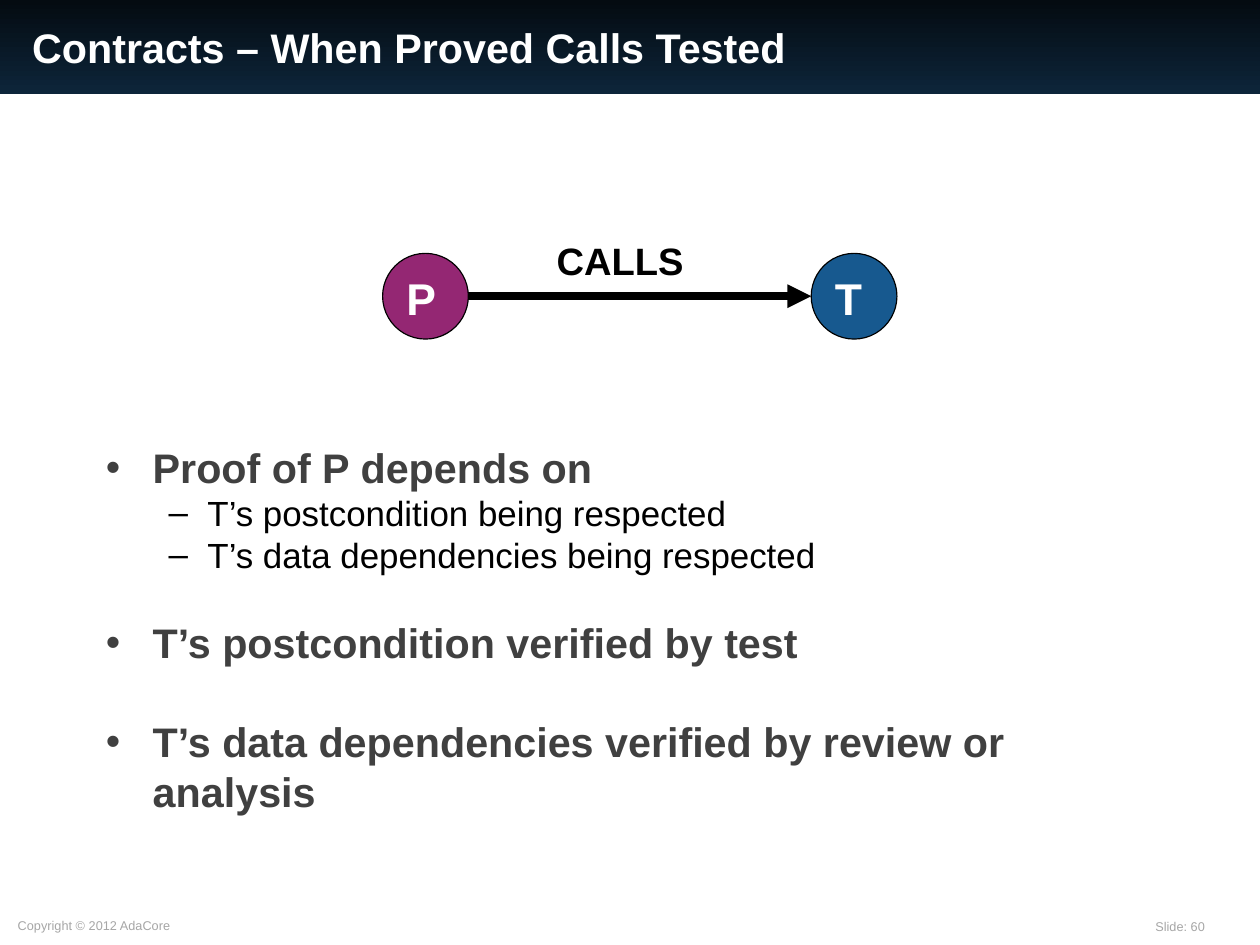
from pptx import Presentation
from pptx.dml.color import RGBColor
from pptx.enum.shapes import MSO_CONNECTOR, MSO_SHAPE
from pptx.enum.text import MSO_ANCHOR, PP_ALIGN
from pptx.oxml.ns import qn
from pptx.util import Pt
from lxml.etree import SubElement

COLORS = {
    "white": "FFFFFF", "black": "000000", "text": "404040", "footer": "A6A6A6",
    "proved": "942773", "tested": "17598F",
    "banner_top": "040B11", "banner_bottom": "0D253A",
}
FONT = "Arial"
NODE_SIZE = 54
NODE_TOP = 159.6
PROVED_LEFT = 241
TESTED_LEFT = 511
LEVELS = [
    {"bullet": "•", "margin": 29.5, "hanging": 29.5, "size": 26, "color": "text", "bold": True},
    {"bullet": "–", "margin": 64, "hanging": 24.5, "size": 22, "color": "black", "bold": False},
]
POINTS = [
    (0, "Proof of P depends on", 0),
    (1, "T’s postcondition being respected", 0),
    (1, "T’s data dependencies being respected", 0),
    (0, "T’s postcondition verified by test", 26.5),
    (0, "T’s data dependencies verified by review or analysis", 31),
]


def rgb(name):
    return RGBColor.from_string(COLORS[name])


def place(s, left, top, width, height):
    s.left, s.top, s.width, s.height = Pt(left), Pt(top), Pt(width), Pt(height)


def add_run(p, text, size, color, bold=False):
    r = p.add_run()
    r.text = text
    r.font.name = FONT
    r.font.size = Pt(size)
    r.font.bold = bold
    r.font.color.rgb = rgb(color)


def add_banner(s):
    banner = s.shapes.add_shape(MSO_SHAPE.RECTANGLE, Pt(-0.5), 0, Pt(794.2), Pt(59.5))
    banner.shadow.inherit = False
    banner.line.fill.background()
    banner.fill.gradient()
    banner.fill.gradient_angle = 270
    for stop, color in zip(banner.fill.gradient_stops, ("banner_top", "banner_bottom")):
        stop.color.rgb = rgb(color)
    s.shapes._spTree.insert(2, banner._element)


def add_label(s, box, text, size, color, bold=False,
              align=PP_ALIGN.LEFT, wrap=False, spacing=1.0):
    tf = s.shapes.add_textbox(*map(Pt, box)).text_frame
    tf.word_wrap = wrap
    p = tf.paragraphs[0]
    p.alignment = align
    p.line_spacing = spacing
    add_run(p, text, size, color, bold)


def add_node(s, left, text, color):
    node = s.shapes.add_shape(
        MSO_SHAPE.OVAL, Pt(left), Pt(NODE_TOP), Pt(NODE_SIZE), Pt(NODE_SIZE))
    node.shadow.inherit = False
    node.fill.solid()
    node.fill.fore_color.rgb = rgb(color)
    node.line.color.rgb = rgb("black")
    node.line.width = Pt(0.75)
    tf = node.text_frame
    tf.vertical_anchor = MSO_ANCHOR.TOP
    p = tf.paragraphs[0]
    p.alignment = PP_ALIGN.LEFT
    add_run(p, text, 28, "white", True)


def add_arrow(s, start, end, y):
    arrow = s.shapes.add_connector(
        MSO_CONNECTOR.STRAIGHT, Pt(start), Pt(y), Pt(end), Pt(y))
    arrow.line.color.rgb = rgb("black")
    arrow.line.width = Pt(5)
    SubElement(arrow.line._get_or_add_ln(), qn("a:tailEnd"), type="triangle")
    SubElement(arrow._element.spPr, qn("a:effectLst"))


def fill_title(title, text):
    place(title, 13, 6.5, 695, 46)
    tf = title.text_frame
    tf.vertical_anchor = MSO_ANCHOR.MIDDLE
    p = tf.paragraphs[0]
    p.alignment = PP_ALIGN.LEFT
    add_run(p, text, 26, "white", True)


def add_bullet(p, style):
    pPr = p._p.get_or_add_pPr()
    pPr.set("marL", str(Pt(style["margin"])))
    pPr.set("indent", str(-Pt(style["hanging"])))
    color = SubElement(pPr, qn("a:buClr"))
    SubElement(color, qn("a:srgbClr"), val=COLORS[style["color"]])
    SubElement(pPr, qn("a:buFont"), typeface=FONT)
    SubElement(pPr, qn("a:buChar"), char=style["bullet"])


def fill_body(body, points):
    place(body, 59.5, 275, 681, 287.5)
    tf = body.text_frame
    tf.vertical_anchor = MSO_ANCHOR.TOP
    for i, (level, text, before) in enumerate(points):
        p = tf.add_paragraph() if i else tf.paragraphs[0]
        style = LEVELS[level]
        p.level = level
        add_bullet(p, style)
        p.space_before = Pt(before)
        add_run(p, text, style["size"], style["color"], style["bold"])


def main():
    prs = Presentation()
    prs.slide_width, prs.slide_height = Pt(793.7), Pt(595.28)
    s = prs.slides.add_slide(prs.slide_layouts[1])
    title, body = s.placeholders
    add_banner(s)
    add_label(s, (720.7, 576.4, 72, 16.6), "Slide: 60", 8, "footer", wrap=True, spacing=0.93)
    add_label(s, (4.1, 575.8, 113, 16.6), "Copyright © 2012 AdaCore", 8, "footer", spacing=0.93)
    fill_title(title, "Contracts – When Proved Calls Tested")
    fill_body(body, POINTS)
    add_node(s, PROVED_LEFT, "P", "proved")
    add_node(s, TESTED_LEFT, "T", "tested")
    add_arrow(s, PROVED_LEFT + NODE_SIZE, TESTED_LEFT, NODE_TOP + NODE_SIZE / 2)
    add_label(s, (343.4, 145.8, 94.3, 36), "CALLS", 24, "black", True, PP_ALIGN.RIGHT)
    prs.save("out.pptx")


if __name__ == "__main__":
    main()
